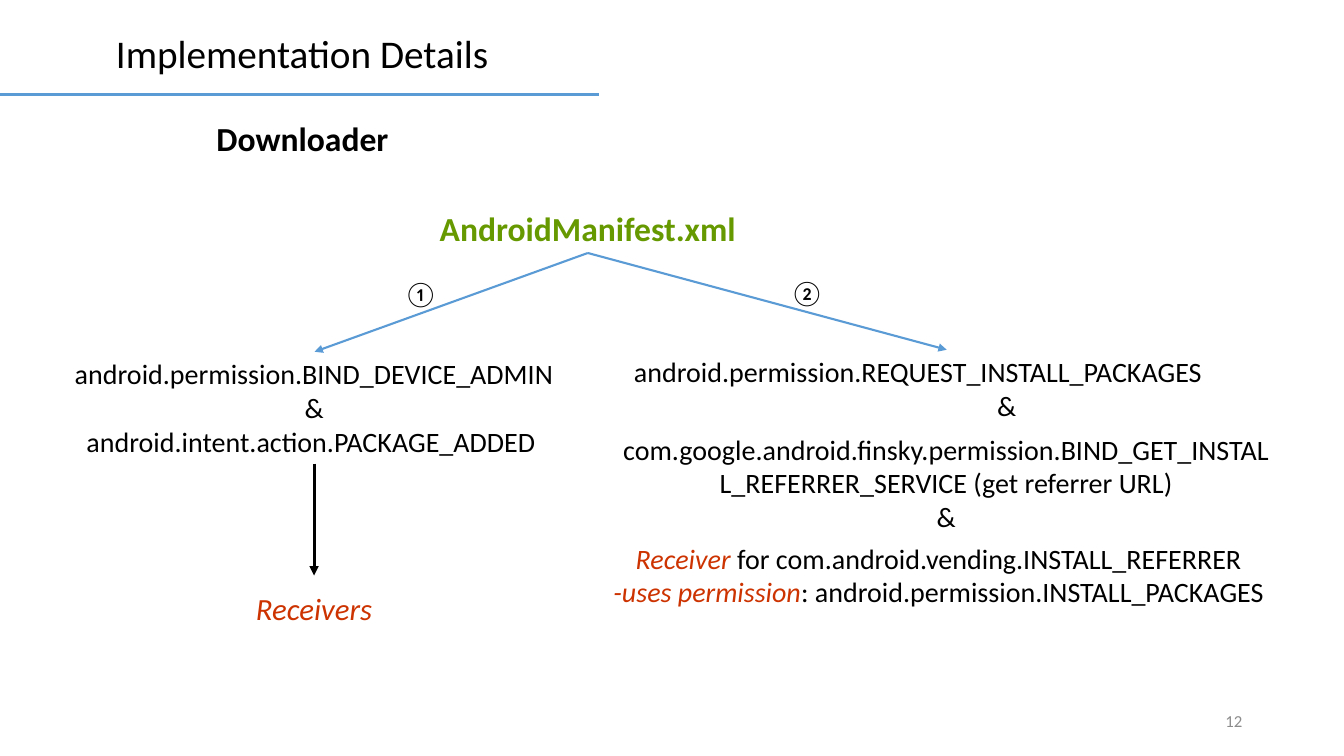
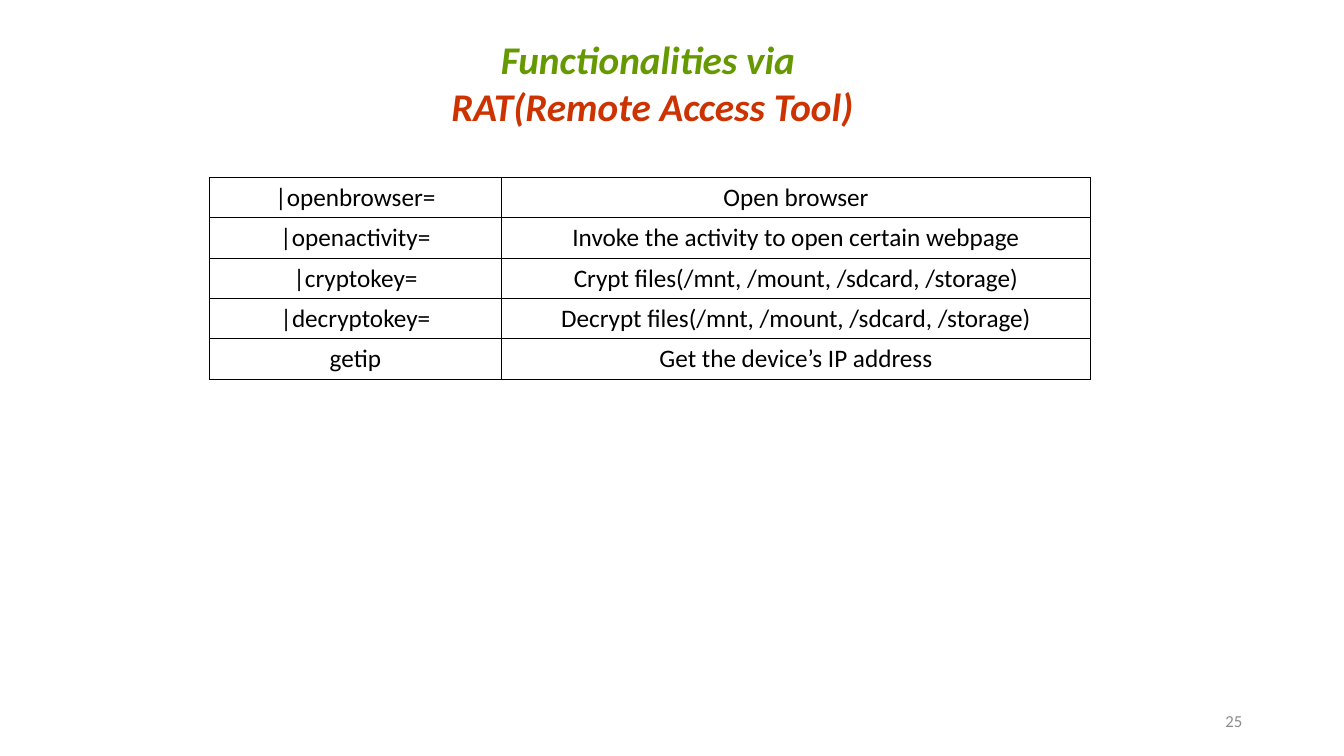
from lxml.etree import SubElement
from pptx import Presentation
from pptx.dml.color import RGBColor
from pptx.enum.shapes import MSO_CONNECTOR
from pptx.enum.text import MSO_ANCHOR, PP_ALIGN
from pptx.oxml.ns import qn
from pptx.util import Inches, Pt

FONT_NAME = "Calibri"
BLACK = RGBColor(0x00, 0x00, 0x00)
BLUE = RGBColor(0x5B, 0x9B, 0xD5)
GREEN = RGBColor(0x66, 0x99, 0x00)
RED = RGBColor(0xCC, 0x33, 0x00)
GRAY = RGBColor(0x8C, 0x8C, 0x8C)

# Text formats; size is in points
TITLE = {"size": 28}
HEADING = {"size": 24, "bold": True}
BODY = {"size": 20}
ACCENT = {"size": 20, "italic": True, "color": RED}
RECEIVERS = {**ACCENT, "size": 22}
MARKER = {"size": 18}
CELL = {"size": 18}
FOOTER = {"size": 12, "color": GRAY}
BANNER = {"size": 28, "bold": True, "italic": True}

COMMANDS = [
    ("|openbrowser=", "Open browser"),
    ("|openactivity=", "Invoke the activity to open certain webpage"),
    ("|cryptokey=", "Crypt files(/mnt, /mount, /sdcard, /storage)"),
    ("|decryptokey=", "Decrypt files(/mnt, /mount, /sdcard, /storage)"),
    ("getip", "Get the device’s IP address"),
]


def write_runs(paragraph, runs, alignment=PP_ALIGN.CENTER):
    """Write (text, format) pairs into a paragraph."""
    paragraph.alignment = alignment
    for text, text_format in runs:
        run = paragraph.add_run()
        run.text = text
        values = {"name": FONT_NAME, "color": BLACK, **text_format}
        run.font.color.rgb = values.pop("color")
        values["size"] = Pt(values["size"])
        for attribute, value in values.items():
            setattr(run.font, attribute, value)


def add_text(slide, box, paragraphs, alignment=PP_ALIGN.CENTER,
             anchor=MSO_ANCHOR.TOP, wrap=True):
    """Add a text box; each paragraph is a list of (text, format) pairs."""
    shape = slide.shapes.add_textbox(*map(Inches, box))
    frame = shape.text_frame
    frame.word_wrap = wrap
    frame.vertical_anchor = anchor
    for index, runs in enumerate(paragraphs):
        paragraph = frame.add_paragraph() if index else frame.paragraphs[0]
        write_runs(paragraph, runs, alignment)
    return shape


def add_line(slide, start, end, color, width, arrow=False):
    connector = slide.shapes.add_connector(
        MSO_CONNECTOR.STRAIGHT, *map(Inches, (*start, *end)))
    connector.line.color.rgb = color
    connector.line.width = Pt(width)
    if arrow:
        SubElement(connector.line._get_or_add_ln(), qn("a:tailEnd"), type="triangle")
    SubElement(connector._element.spPr, qn("a:effectLst"))


def add_slide(presentation, number):
    """Add a blank slide with its slide number."""
    slide = presentation.slides.add_slide(presentation.slide_layouts[6])
    add_text(slide, (9.42, 6.95, 3, 0.4), [[(str(number), FOOTER)]],
             PP_ALIGN.RIGHT, MSO_ANCHOR.MIDDLE)
    return slide


def add_title(slide, box, text):
    """Add an underlined title."""
    left, top, width, _ = box
    add_line(slide, (left, top + 0.7), (left + width - 0.05, top + 0.7), BLUE, 2.25)
    add_text(slide, box, [[(text, TITLE)]])


def add_device_admin_branch(slide, left, top, width):
    center = left + width / 2
    add_text(slide, (left, top, width, 1.11), [
        [("android.permission.BIND_DEVICE_ADMIN", BODY)],
        [("&", BODY)],
        [("android.intent.action.PACKAGE_ADDED ", BODY)],
    ])
    add_line(slide, (center, top + 1.11), (center, top + 2.22), BLACK, 2.25, arrow=True)
    add_text(slide, (center - 2, top + 2.31, 4, 0.47), [[("Receivers", RECEIVERS)]])


def add_install_branch(slide, left, top, width):
    request = add_text(slide, (left - 0.18, top, width - 0.2, 0.77), [
        [("android.permission.REQUEST_INSTALL_PACKAGES", BODY)],
        [("&", BODY)],
    ])
    # The first ampersand stands right of the centre
    properties = request.text_frame.paragraphs[1]._p.get_or_add_pPr()
    properties.set("marL", str(Inches(1.76)))
    properties.set("indent", "0")
    add_text(slide, (left, top + 0.77, width, 1.11), [
        [("com.google.android.finsky.permission.BIND_GET_INSTALL_REFERRER_SERVICE"
          " (get referrer URL)", BODY)],
        [("&", BODY)],
    ])
    add_text(slide, (left - 0.11, top + 1.85, width + 0.07, 0.77), [
        [("Receiver", ACCENT), (" for com.android.vending.INSTALL_REFERRER", BODY)],
        [("-uses permission", ACCENT),
         (": android.permission.INSTALL_PACKAGES", BODY)],
    ], wrap=False)


def build_manifest_slide(presentation):
    slide = add_slide(presentation, 12)
    add_title(slide, (0, 0.24, 5.99, 0.57), "Implementation Details")
    add_text(slide, (0.86, 1.12, 4.28, 0.5), [[("Downloader", HEADING)]])

    # Root of the tree
    add_text(slide, (3.26, 2.01, 5.14, 0.5),
             [[("AndroidManifest.xml", {**HEADING, "color": GREEN})]])

    # Numbered arrows to the two branches
    for end, marker, left, top in (((3.12, 3.49), "①", 3.91, 2.71),
                                   ((9.39, 3.47), "②", 7.74, 2.7)):
        add_line(slide, (5.83, 2.51), end, BLUE, 1.5, arrow=True)
        add_text(slide, (left, top, 0.32, 0.4), [[(marker, MARKER)]], PP_ALIGN.LEFT)

    add_device_admin_branch(slide, 0.29, 3.49, 5.65)
    add_install_branch(slide, 6.05, 3.47, 6.67)


def add_cell_borders(cell):
    properties = cell._tc.get_or_add_tcPr()
    for index, side in enumerate(("a:lnL", "a:lnR", "a:lnT", "a:lnB")):
        border = properties.makeelement(qn(side), {"w": str(Pt(0.75))})
        fill = SubElement(border, qn("a:solidFill"))
        SubElement(fill, qn("a:srgbClr"), val=str(BLACK))
        properties.insert(index, border)


def add_command_table(slide, left, top, column_widths, row_height):
    box = (left, top, sum(column_widths), row_height * len(COMMANDS))
    table = slide.shapes.add_table(
        len(COMMANDS), len(column_widths), *map(Inches, box)).table
    table.first_row = table.horz_banding = False
    for column, width in zip(table.columns, column_widths):
        column.width = Inches(width)
    for row, texts in zip(table.rows, COMMANDS):
        for cell, text in zip(row.cells, texts):
            cell.fill.background()
            cell.vertical_anchor = MSO_ANCHOR.MIDDLE
            add_cell_borders(cell)
            write_runs(cell.text_frame.paragraphs[0], [(text, CELL)])


def build_functionalities_slide(presentation):
    slide = add_slide(presentation, 25)
    add_text(slide, (3.61, 0.3, 5.72, 1.04), [
        [("Functionalities via ", {**BANNER, "color": GREEN})],
        [("RAT(Remote Access Tool)", {**BANNER, "color": RED})],
    ])
    add_command_table(slide, 2.08, 1.76, (2.89, 5.85), 0.4)


def main():
    presentation = Presentation()
    presentation.slide_width = Inches(13.33)
    presentation.slide_height = Inches(7.5)
    build_manifest_slide(presentation)
    build_functionalities_slide(presentation)
    presentation.save("out.pptx")


if __name__ == "__main__":
    main()
